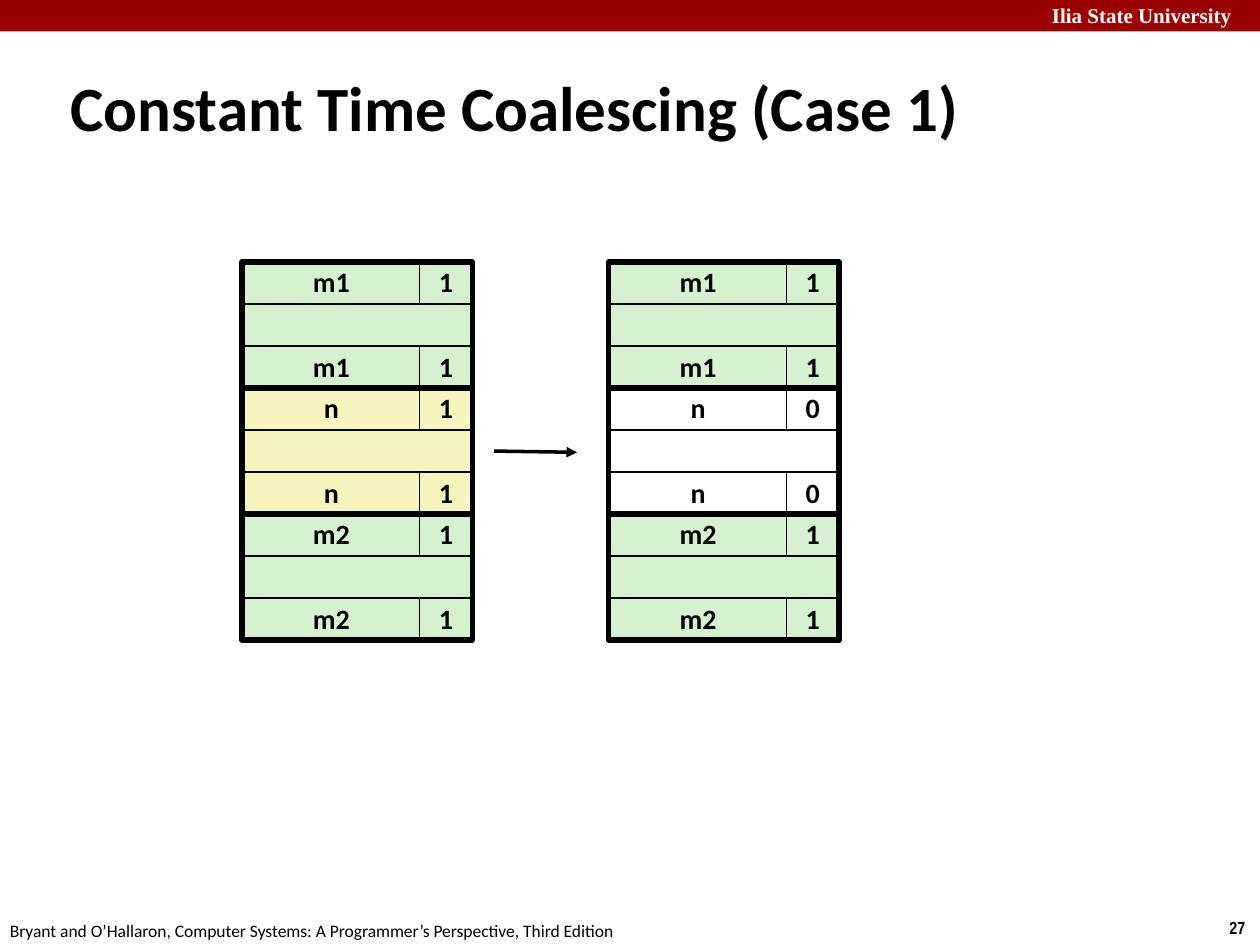
"""Build the slide on constant-time coalescing, case 1."""
import pptx
import pptx.dml.color
import pptx.enum.shapes
import pptx.enum.text
import pptx.oxml
import pptx.oxml.ns
import pptx.util

Inches = pptx.util.Inches
Pt = pptx.util.Pt
COLORS = {
    "bar": "990000",
    "black": "000000",
    "white": "FFFFFF",
    "neighbor": "D5F1CF",
    "allocated": "F6F5BD",
}


def rgb(name):
    return pptx.dml.color.RGBColor.from_string(COLORS[name])


def add_rect(x, y, w, h, fill=None, line=None, text=""):
    sp = s.shapes.add_shape(pptx.enum.shapes.MSO_SHAPE.RECTANGLE,
                            Inches(x), Inches(y), Inches(w), Inches(h))
    sp.shadow.inherit = False
    if fill:
        sp.fill.solid()
        sp.fill.fore_color.rgb = rgb(fill)
    else:
        sp.fill.background()
    if line:
        sp.line.color.rgb = rgb("black")
        sp.line.width = Pt(line)
    else:
        sp.line.fill.background()
    if text:
        tf = sp.text_frame
        tf.vertical_anchor = pptx.enum.text.MSO_ANCHOR.MIDDLE
        p = tf.paragraphs[0]
        p.alignment = pptx.enum.text.PP_ALIGN.CENTER
        p.line_spacing = 0.98
        r = p.add_run()
        r.text = text
        r.font.name = "Calibri"
        r.font.size = Pt(16)
        r.font.bold = True
        r.font.color.rgb = rgb("black")


prs = pptx.Presentation()
prs.slide_width = Inches(10)
prs.slide_height = Inches(7.5)
s = prs.slides.add_slide(prs.slide_layouts[5])

add_rect(0, 0, 10, 0.25, "bar")

labels = [
    ("Ilia State University", 8.25, -0.03, 1.82, 0.3, "Times New Roman", 12, True, "white"),
    ("27", 9.66, 7.23, 0.34, 0.27, "Arial Narrow", 10, True, "black"),
    ("Bryant and O’Hallaron, Computer Systems: A Programmer’s Perspective, Third Edition",
     -0.02, 7.25, 5.08, 0.27, "Calibri", 10, False, "black"),
]
for text, x, y, w, h, font, size, bold, color in labels:
    sp = s.shapes.add_textbox(Inches(x), Inches(y), Inches(w), Inches(h))
    tf = sp.text_frame
    tf.word_wrap = False
    r = tf.paragraphs[0].add_run()
    r.text = text
    r.font.name = font
    r.font.size = Pt(size)
    r.font.bold = bold
    r.font.color.rgb = rgb(color)

title = s.shapes.title
title.left, title.top = Inches(0.46), Inches(0.53)
title.width, title.height = Inches(9.08), Inches(0.63)
tf = title.text_frame
tf.auto_size = pptx.enum.text.MSO_AUTO_SIZE.NONE
tf.vertical_anchor = pptx.enum.text.MSO_ANCHOR.MIDDLE
p = tf.paragraphs[0]
p.alignment = pptx.enum.text.PP_ALIGN.LEFT
r = p.add_run()
r.text = "Constant Time Coalescing (Case 1)"
r.font.name = "Calibri"
r.font.size = Pt(36)
r.font.bold = True
r.font.color.rgb = rgb("black")

top, row_h = 2.08, 1 / 3
size_w, flag_w = 1.42, 0.42
block_w = 1.83
heaps = [
    (1.92, [("m1", "1", "neighbor"), ("n", "1", "allocated"), ("m2", "1", "neighbor")]),
    (4.83, [("m1", "1", "neighbor"), ("n", "0", "white"), ("m2", "1", "neighbor")]),
]
for left, blocks in heaps:
    for i, (size, flag, fill) in enumerate(blocks):
        y = top + i
        for tag_y in (y, y + 2 * row_h):
            add_rect(left, tag_y, size_w, row_h, fill, 0.75, size)
            add_rect(left + block_w - flag_w, tag_y, flag_w, row_h, fill, 0.75, flag)
        add_rect(left, y + row_h, block_w, row_h, fill, 0.75)
        add_rect(left, y, block_w, 1, line=3)

arrow = s.shapes.add_connector(pptx.enum.shapes.MSO_CONNECTOR.STRAIGHT,
                               Inches(3.92), Inches(3.58), Inches(4.58), Inches(3.59))
arrow.line.color.rgb = rgb("black")
arrow.line.width = Pt(2)
ln = arrow.line._get_or_add_ln()
ln.append(pptx.oxml.parse_xml(
    '<a:tailEnd %s type="triangle"/>' % pptx.oxml.ns.nsdecls("a")))
ln.addnext(pptx.oxml.parse_xml('<a:effectLst %s/>' % pptx.oxml.ns.nsdecls("a")))

prs.save("out.pptx")
